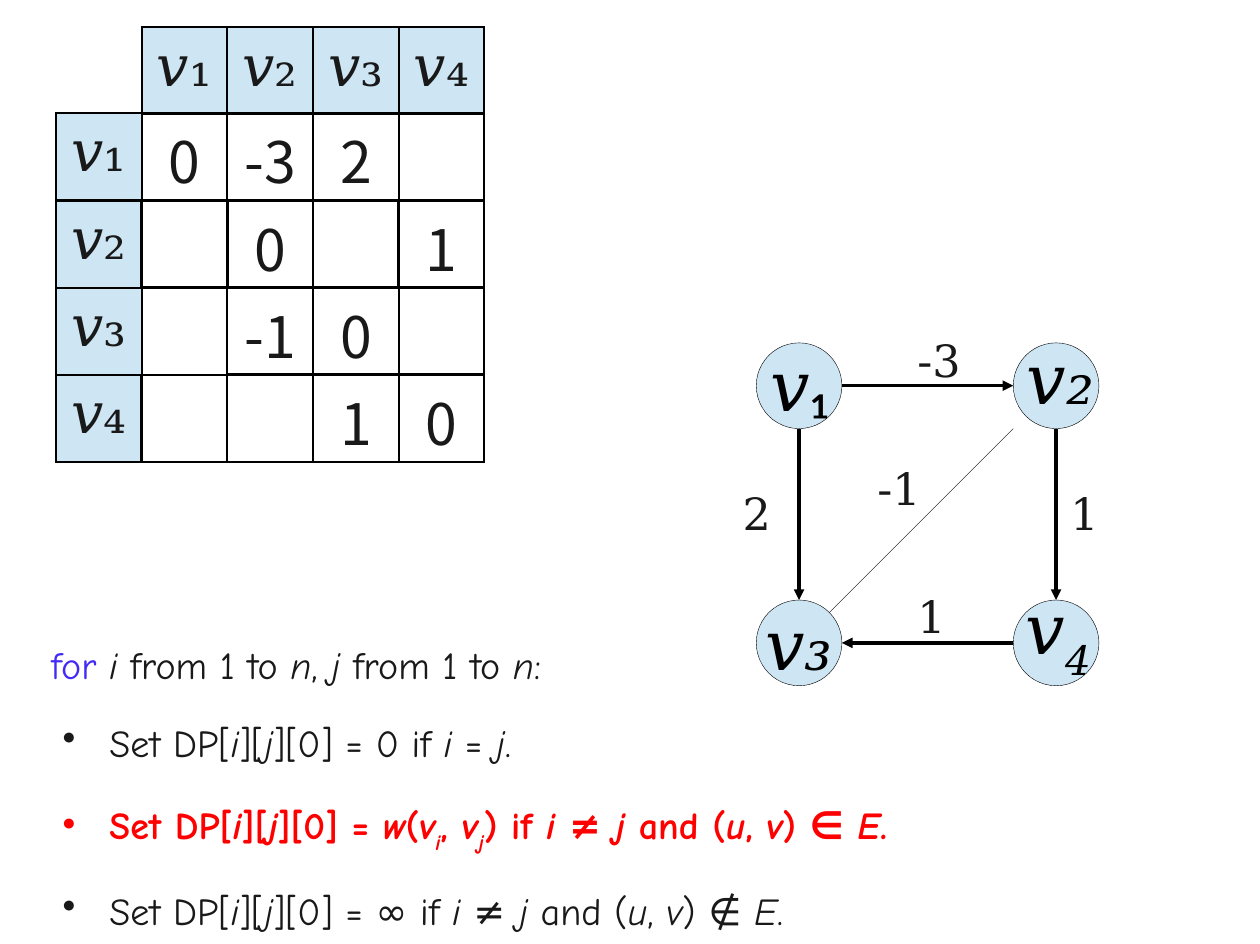
import lxml.etree
import pptx
import pptx.dml.color
import pptx.enum.shapes
import pptx.enum.text
import pptx.oxml.ns
import pptx.util

Inches = pptx.util.Inches
Pt = pptx.util.Pt
qn = pptx.oxml.ns.qn
ALIGN = pptx.enum.text.PP_ALIGN
MIDDLE = pptx.enum.text.MSO_ANCHOR.MIDDLE
STRAIGHT = pptx.enum.shapes.MSO_CONNECTOR.STRAIGHT
OVAL = pptx.enum.shapes.MSO_SHAPE.OVAL

PALE_BLUE = "CEE6F4"
INK = "191919"
BLACK = "000000"
RED = "FF0000"
VIOLET = "432BF5"
SERIF = "DejaVu Serif"

VERTEX_FORMAT = {"name": SERIF, "size": Pt(36), "color": INK}
NUMBER_FORMAT = {"name": "Noto Sans CJK SC", "size": Pt(36), "color": INK}
NODE_FORMAT = {"name": SERIF, "size": Pt(44), "color": BLACK}
WEIGHT_FORMAT = {"name": SERIF, "size": Pt(28), "color": INK}
STEP_FORMAT = {"name": "Comic Neue", "size": Pt(24), "color": INK}

VERTICES = ["*v*₁", "*v*₂", "*v*₃", "*v*₄"]
DISTANCES = [
    ["0", "-3", "2", ""],
    ["", "0", "", "1"],
    ["", "-1", "0", ""],
    ["", "", "1", "0"],
]
BORDER_WIDTHS = [Pt(0), Pt(1.5), Pt(2.25)]
BORDERS_LRTB = [
    ["0101", "1112", "1112", "1112", "1112"],
    ["1112", "1122", "1122", "1122", "1122"],
    ["1221", "2222", "2122", "1222", "2122"],
    ["1111", "1121", "1122", "1122", "1122"],
    ["1211", "2111", "1121", "1121", "1121"],
]

NODE_SIZE = 0.75
NODES = {
    "v1": (0, 0, "*v*", {"margin_bottom": Inches(0.04)}),
    "v2": (2.25, 0, "*v₂*", {"margin_bottom": Inches(0.16), "margin_left": Inches(0.08)}),
    "v3": (0, 2.25, "*v₃*", {}),
    "v4": (2.25, 2.25, "*v~4~*", {"margin_bottom": Inches(0.16), "margin_left": Inches(0.04)}),
}
TOP, LEFT, BOTTOM, RIGHT = 0, 2, 4, 6
SITE_OFFSETS = {TOP: (0.5, 0), LEFT: (0, 0.5), BOTTOM: (0.5, 1), RIGHT: (1, 0.5)}
EDGES = [("v1", RIGHT, "v2", LEFT), ("v1", BOTTOM, "v3", TOP),
         ("v2", BOTTOM, "v4", TOP), ("v4", LEFT, "v3", RIGHT)]
WEIGHTS = [("-3", 1.4, -0.11), ("2", -0.13, 1.23), ("-1", 1.05, 1.01),
           ("1", 2.74, 1.23), ("1", 1.4, 2.13)]

STEPS = [
    ("Set DP[*i*][*j*][0] = 0 if *i *= *j*.", {}),
    ("Set DP[*i*][*j*][0] = *w*(*v~i~*, *v~j~*) if *i *≠ *j *and (*u*, *v*) ∈ *E*.",
     {"color": RED, "bold": True}),
    ("Set DP[*i*][*j*][0] = ∞ if *i *≠ *j *and (*u*, *v*) ∉ *E*.", {}),
]


def rgb(value):
    return pptx.dml.color.RGBColor.from_string(value)


def set_all(target, values):
    for name, value in values.items():
        setattr(target, name, value)


def add_run(paragraph, text, values):
    run = paragraph.add_run()
    run.text = text
    set_all(run.font, {name: value for name, value in values.items() if name != "color"})
    run.font.color.rgb = rgb(values["color"])
    return run


def add_rich_text(paragraph, markup, values):
    for i, styled in enumerate(markup.split("*")):
        for j, text in enumerate(styled.split("~")):
            if text:
                run = add_run(paragraph, text, {**values, "italic": i % 2 == 1})
                if j % 2:
                    run.font._element.set("baseline", "-30000")


def set_borders(cell, borders):
    properties = cell._tc.get_or_add_tcPr()
    for side, level in zip("LRTB", borders):
        width = BORDER_WIDTHS[int(level)]
        line = lxml.etree.SubElement(properties, qn(f"a:ln{side}"), w=str(width))
        if width:
            fill = lxml.etree.SubElement(line, qn("a:solidFill"))
            lxml.etree.SubElement(fill, qn("a:srgbClr"), val=BLACK)
        else:
            lxml.etree.SubElement(line, qn("a:noFill"))


def add_distance_table(slide, left, top, side):
    rows = [[""] + VERTICES] + [[v] + row for v, row in zip(VERTICES, DISTANCES)]
    table = slide.shapes.add_table(
        5, 5, Inches(left), Inches(top), Inches(side), Inches(side)).table
    set_all(table, {"first_row": False, "horz_banding": False})
    for r, row in enumerate(rows):
        for c, text in enumerate(row):
            cell = table.cell(r, c)
            is_vertex = text in VERTICES
            set_borders(cell, BORDERS_LRTB[r][c])
            set_all(cell, {"margin_left": 0, "margin_right": 0, "margin_bottom": 0,
                           "margin_top": Inches(0.05 if is_vertex else 0.04)})
            if is_vertex:
                cell.fill.solid()
                cell.fill.fore_color.rgb = rgb(PALE_BLUE)
            else:
                cell.fill.background()
            paragraph = cell.text_frame.paragraphs[0]
            paragraph.alignment = ALIGN.CENTER
            add_rich_text(paragraph, text, VERTEX_FORMAT if is_vertex else NUMBER_FORMAT)


def add_node(slide, left, top, label, margins):
    node = slide.shapes.add_shape(
        OVAL, Inches(left), Inches(top), Inches(NODE_SIZE), Inches(NODE_SIZE))
    node.shadow.inherit = False
    node.fill.solid()
    node.fill.fore_color.rgb = rgb(PALE_BLUE)
    node.line.color.rgb = rgb(BLACK)
    node.line.width = Pt(0.25)
    set_all(node.text_frame, {"margin_left": 0, "margin_right": 0, "margin_top": 0,
                              "margin_bottom": 0, "word_wrap": False,
                              "vertical_anchor": MIDDLE, **margins})
    paragraph = node.text_frame.paragraphs[0]
    paragraph.alignment = ALIGN.CENTER
    add_rich_text(paragraph, label, NODE_FORMAT)
    return node


def add_edge(slide, start, end, width):
    edge = slide.shapes.add_connector(STRAIGHT, *map(Inches, start + end))
    edge.line.color.rgb = rgb(BLACK)
    edge.line.width = Pt(width)
    lxml.etree.SubElement(edge._element.spPr, qn("a:effectLst"))
    return edge


def add_arrow(slide, left, top, nodes, source, source_site, target, target_site):
    ends = [(source, source_site), (target, target_site)]
    start, end = [(left + NODES[name][0] + SITE_OFFSETS[site][0] * NODE_SIZE,
                   top + NODES[name][1] + SITE_OFFSETS[site][1] * NODE_SIZE)
                  for name, site in ends]
    arrow = add_edge(slide, start, end, 2.25)
    line = arrow._element.spPr.find(qn("a:ln"))
    lxml.etree.SubElement(line, qn("a:tailEnd"), type="triangle")
    joints = arrow._element.nvCxnSpPr.cNvCxnSpPr
    for tag, (name, site) in zip(("a:stCxn", "a:endCxn"), ends):
        lxml.etree.SubElement(joints, qn(tag), id=str(nodes[name].shape_id), idx=str(site))


def add_graph(slide, left, top):
    nodes = {name: add_node(slide, left + dx, top + dy, label, margins)
             for name, (dx, dy, label, margins) in NODES.items()}
    add_run(nodes["v1"].text_frame.paragraphs[0], "₁", {**NODE_FORMAT, "name": "Calibri"})
    for edge in EDGES:
        add_arrow(slide, left, top, nodes, *edge)
    add_edge(slide, (left + 2.25, top + 0.75), (left + 0.64, top + 2.36), 0.25)
    for weight, dx, dy in WEIGHTS:
        box = slide.shapes.add_textbox(Inches(left + dx), Inches(top + dy),
                                       Inches(0.42), Inches(0.49))
        set_all(box.text_frame, {"margin_left": Inches(0.01), "margin_right": 0,
                                 "margin_top": Inches(0.02), "margin_bottom": 0,
                                 "word_wrap": True})
        add_rich_text(box.text_frame.paragraphs[0], weight, WEIGHT_FORMAT)


def add_algorithm(slide, left, top, width, height):
    frame = slide.shapes.add_textbox(
        Inches(left), Inches(top), Inches(width), Inches(height)).text_frame
    frame.word_wrap = True
    loop = frame.paragraphs[0]
    add_run(loop, "for ", {**STEP_FORMAT, "color": VIOLET})
    add_rich_text(loop, "*i *from 1 to *n*, *j *from 1 to *n*:", STEP_FORMAT)
    for markup, emphasis in STEPS:
        step = frame.add_paragraph()
        properties = step._p.get_or_add_pPr()
        properties.set("marL", str(Inches(0.51)))
        properties.set("indent", str(Inches(-0.41)))
        lxml.etree.SubElement(properties, qn("a:buChar"), char="•")
        add_rich_text(step, markup, {**STEP_FORMAT, **emphasis})
    for paragraph in frame.paragraphs:
        set_all(paragraph, {"line_spacing": 1.5, "space_after": Pt(6)})


def main():
    presentation = pptx.Presentation()
    set_all(presentation, {"slide_width": Inches(11.03), "slide_height": Inches(8.26)})
    slide = presentation.slides.add_slide(presentation.slide_layouts[6])
    add_distance_table(slide, 0.49, 0.24, 3.75)
    add_graph(slide, 6.62, 3)
    add_algorithm(slide, 0.35, 5.36, 9.31, 2.71)
    presentation.save("out.pptx")


if __name__ == "__main__":
    main()
